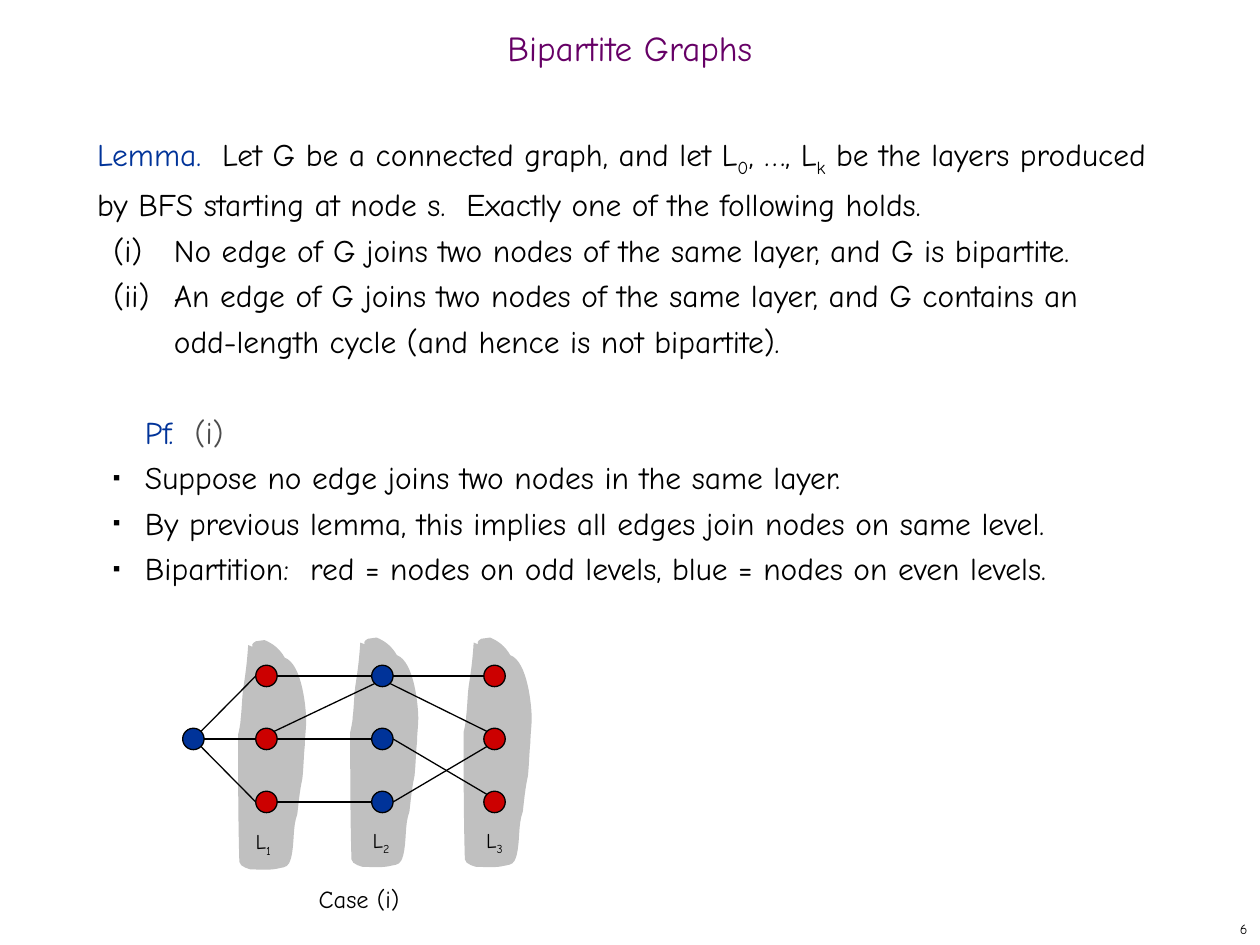
from lxml import etree
from pptx import Presentation
from pptx.dml.color import RGBColor
from pptx.enum.shapes import MSO_CONNECTOR, MSO_SHAPE
from pptx.enum.text import MSO_ANCHOR, MSO_AUTO_SIZE, PP_ALIGN
from pptx.oxml.ns import qn
from pptx.util import Pt

PX = 9144  # EMU per px: 100 px to the inch
OVAL = MSO_SHAPE.OVAL
STRAIGHT = MSO_CONNECTOR.STRAIGHT
LEFT, CENTER, RIGHT = PP_ALIGN.LEFT, PP_ALIGN.CENTER, PP_ALIGN.RIGHT
TOP, MIDDLE = MSO_ANCHOR.TOP, MSO_ANCHOR.MIDDLE
FONT = "Comic Neue"
BLACK, BLUE, RED = "000000", "003399", "CC0000"
PURPLE, DARK_GRAY, LAYER_GRAY = "660066", "4D4D4D", "C0C0C0"

# Runs are (text, colour, is_subscript).
LEMMA = [
    ("Lemma.  ", BLUE, False),
    ("Let G be a connected graph, and let L", BLACK, False),
    ("0", BLACK, True),
    (", …, L", BLACK, False),
    ("k", BLACK, True),
    (" be the layers produced by BFS starting at node s.  "
     "Exactly one of the following holds.", BLACK, False),
]
CASES = [
    "(i)\tNo edge of G joins two nodes of the same layer, and G is bipartite.",
    "(ii)\tAn edge of G joins two nodes of the same layer, and G contains an\n"
    "odd-length cycle (and hence is not bipartite).",
]
PROOF = [("Pf.  ", BLUE, False), ("(i)", DARK_GRAY, False)]
PROOF_STEPS = [
    "Suppose no edge joins two nodes in the same layer.",
    "By previous lemma, this implies all edges join nodes on same level.",
    "Bipartition:  red = nodes on odd levels, blue = nodes on even levels.",
]

# Layer bands: left, top, label number, label box (left, top, width).
LAYERS = [
    (368, 506, "3", (376, 652, 33)),
    (278, 506, "2", (286, 652, 34)),
    (189, 508, "1", (193, 653, 32)),
]
BAND_START = (8, 4)
BAND_CURVES = [  # two control points and an end point each
    ((7, 19), (6, 26), (4, 39)), ((3, 47), (3, 55), (2, 63)),
    ((2, 67), (0, 75), (0, 75)), ((0, 109), (0, 143), (1, 176)),
    ((1, 180), (10, 182), (10, 182)), ((18, 182), (25, 183), (33, 181)),
    ((38, 180), (40, 180), (42, 173)), ((45, 161), (43, 149), (47, 138)),
    ((48, 129), (49, 119), (51, 110)), ((52, 101), (52, 92), (53, 83)),
    ((53, 77), (54, 70), (54, 64)), ((54, 55), (51, 19), (37, 14)),
    ((33, 7), (28, 3), (21, 0)), ((19, 1), (16, 0), (14, 1)),
    ((7, 5), (16, 7), (8, 4)),
]

# Nodes are (column, row); columns are BFS levels.
COLUMN_X = [145, 203, 295, 384]
ROW_Y = [528, 578, 628]
NODE_SIZE = 17
NODES = [(0, 1)] + [(column, row) for column in (1, 2, 3) for row in (0, 1, 2)]
SITES = {"E": (1, 0), "W": (-1, 0), "NE": (0.7, -0.7), "NW": (-0.7, -0.7),
         "SE": (0.7, 0.7), "SW": (-0.7, 0.7)}
EDGES = [
    ((1, 0), "E", (2, 0), "W"), ((1, 1), "NE", (2, 0), "SW"),
    ((1, 1), "E", (2, 1), "W"), ((1, 2), "E", (2, 2), "W"),
    ((0, 1), "NE", (1, 0), "W"), ((0, 1), "E", (1, 1), "W"),
    ((0, 1), "SE", (1, 2), "W"), ((2, 0), "SE", (3, 1), "NW"),
    ((2, 2), "E", (3, 1), "SW"), ((2, 1), "E", (3, 2), "NW"),
    ((2, 0), "E", (3, 0), "W"),
]


def emu(*lengths):
    return [round(length * PX) for length in lengths]


def color(hex_string):
    return RGBColor.from_string(hex_string)


def write(paragraph, runs, size=18, align=LEFT, spacing=Pt(26), before=0,
          margin=0, indent=0, bullet=None):
    """Fill a paragraph with one string or with a list of runs."""
    if isinstance(runs, str):
        runs = [(runs, BLACK, False)]
    for text, hex_string, is_subscript in runs:
        for number, line in enumerate(text.split("\n")):
            if number:
                paragraph.add_line_break()
            run = paragraph.add_run()
            run.text = line
            run.font.size = Pt(size)
            run.font.name = FONT
            run.font.color.rgb = color(hex_string)
            if is_subscript:
                run.font._element.set("baseline", "-25000")
    paragraph.alignment = align
    paragraph.line_spacing = spacing
    paragraph.space_before = Pt(before)
    properties = paragraph._p.get_or_add_pPr()
    properties.set("marL", str(margin * PX))
    properties.set("indent", str(indent * PX))
    if bullet:
        bullet_color = etree.SubElement(properties, qn("a:buClr"))
        etree.SubElement(bullet_color, qn("a:srgbClr"), val=BLACK)
        etree.SubElement(properties, qn("a:buSzPct"), val="35000")
        etree.SubElement(properties, qn("a:buChar"), char=bullet)
    else:
        etree.SubElement(properties, qn("a:buNone"))


def place(shape, left, top, width, height, anchor=TOP, wrap=True):
    shape.left, shape.top, shape.width, shape.height = emu(left, top, width, height)
    frame = shape.text_frame
    frame.auto_size = MSO_AUTO_SIZE.NONE
    frame.vertical_anchor = anchor
    frame.word_wrap = wrap
    return frame


def add_label(slide, box, runs, size, align=LEFT, anchor=TOP, wrap=False):
    frame = place(slide.shapes.add_textbox(0, 0, 0, 0), *box, anchor, wrap)
    write(frame.paragraphs[0], runs, size, align, spacing=1.0)


def add_band(slide, left, top):
    """Draw a band through the curve ends, then bend each segment."""
    x, y = BAND_START
    builder = slide.shapes.build_freeform(*emu(left + x, top + y))
    builder.add_line_segments(
        [emu(left + x, top + y) for _, _, (x, y) in BAND_CURVES], close=True)
    band = builder.convert_to_shape()
    segments = list(band._element.iter(qn("a:lnTo")))
    for segment, (first, second, _) in zip(segments, BAND_CURVES):
        curve = etree.Element(qn("a:cubicBezTo"))
        for control in (first, second):
            x, y = emu(*control)
            etree.SubElement(curve, qn("a:pt"), x=str(x), y=str(y))
        curve.append(segment[0])
        segment.getparent().replace(segment, curve)
    band.shadow.inherit = False
    band.fill.solid()
    band.fill.fore_color.rgb = color(LAYER_GRAY)
    band.line.fill.background()


def add_node(slide, column, row):
    node = slide.shapes.add_shape(
        OVAL, *emu(COLUMN_X[column], ROW_Y[row], NODE_SIZE, NODE_SIZE))
    node.shadow.inherit = False
    node.fill.solid()
    node.fill.fore_color.rgb = color(RED if column % 2 else BLUE)
    node.line.color.rgb = color(BLACK)
    node.line.width = Pt(0.75)


def site_point(node, site):
    radius = NODE_SIZE / 2
    x, y = SITES[site]
    return emu(COLUMN_X[node[0]] + radius * (1 + x), ROW_Y[node[1]] + radius * (1 + y))


def add_edge(slide, tail, tail_site, head, head_site):
    edge = slide.shapes.add_connector(
        STRAIGHT, *site_point(tail, tail_site), *site_point(head, head_site))
    edge.line.color.rgb = color(BLACK)
    edge.line.width = Pt(0.75)
    etree.SubElement(edge._element.spPr, qn("a:effectLst"))


def main():
    presentation = Presentation()
    presentation.slide_width, presentation.slide_height = emu(1000, 750)
    slide = presentation.slides.add_slide(presentation.slide_layouts[1])
    for left, top, _, _ in LAYERS:
        add_band(slide, left, top)

    title = place(slide.shapes.title, 0, 17, 1000, 50, MIDDLE)
    write(title.paragraphs[0], [("Bipartite Graphs", PURPLE, False)], 20, CENTER, 0.7)
    body = place(slide.placeholders[1], 67, 100, 858, 592)
    write(body.paragraphs[0], LEMMA)
    for case in CASES:
        write(body.add_paragraph(), case, margin=61, indent=-48)
    write(body.add_paragraph(), PROOF, before=26, margin=38)
    for step in PROOF_STEPS:
        write(body.add_paragraph(), step, margin=38, indent=-25, bullet="■")

    for node in NODES:
        add_node(slide, *node)
    for edge in EDGES:
        add_edge(slide, *edge)
    for _, _, number, (left, top, width) in LAYERS:
        add_label(slide, (left, top, width, 33),
                  [("L", BLACK, False), (number, BLACK, True)], 12)
    add_label(slide, (243, 697, 85, 33), "Case (i)", 14)
    add_label(slide, (792, 725, 208, 25), "6", 8, RIGHT, MIDDLE, wrap=True)
    presentation.save("out.pptx")


if __name__ == "__main__":
    main()
